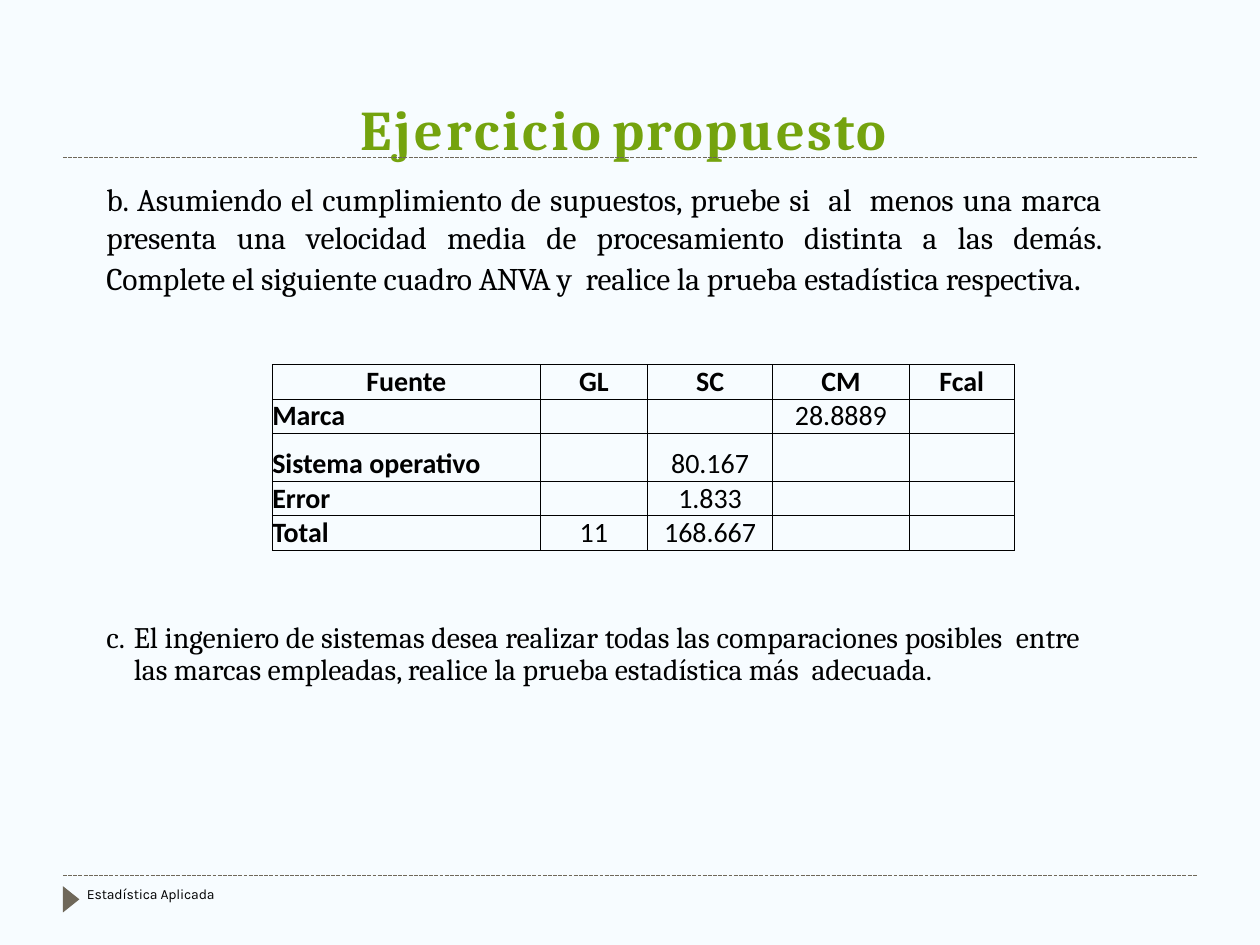
from lxml import etree
from pptx import Presentation
from pptx import util as u
from pptx.dml.color import RGBColor
from pptx.enum import dml, text
from pptx.oxml.ns import qn

Pt = u.Pt
COLORS = {"sky": "F7FCFF", "stone": "6F685A", "green": "74A30E", "black": "000000"}


def rgb(name):
    return RGBColor.from_string(COLORS[name])


def child(parent, tag, **attributes):
    """Append a DrawingML element and return it."""
    node = etree.SubElement(parent, qn(tag))
    for key, value in attributes.items():
        node.set(key, str(value))
    return node


def write(paragraph, *runs, font="Cambria", size=18, color="black", bold=False,
          align=text.PP_ALIGN.LEFT, before=0, line=None, spacing=0,
          indent=(0, 0), number_from=None, tab=None):
    """Fill a paragraph; a run is a string or (string, own format)."""
    paragraph.alignment = align
    paragraph.space_before = Pt(before)
    if line:
        paragraph.line_spacing = Pt(line)
    properties = paragraph._p.get_or_add_pPr()
    properties.set("marL", str(Pt(indent[0])))
    properties.set("indent", str(Pt(indent[1])))
    if number_from:
        child(properties, "a:buFont", typeface=font)
        child(properties, "a:buAutoNum", type="alphaLcPeriod", startAt=number_from)
    if tab:
        child(child(properties, "a:tabLst"), "a:tab", pos=Pt(tab), algn="l")
    for entry in runs:
        words, own = (entry, {}) if isinstance(entry, str) else entry
        run = paragraph.add_run()
        run.text = words
        run.font.name = font
        run.font.size = Pt(own.get("size", size))
        run.font.bold = bold
        run.font.color.rgb = rgb(color)
        run._r.get_or_add_rPr().set("spc", str(round(100 * own.get("spacing", spacing))))


class Page:
    """The current slide and its style."""
    rule_width = 0.75
    border_width = 0.5

    def __init__(self, deck):
        self.slide = deck.slides.add_slide(deck.slide_layouts[1])
        self.shapes = self.slide.shapes
        fill = self.slide.background.fill
        fill.solid()
        fill.fore_color.rgb = rgb("sky")

    def frame(self, shape, top_inset=0.7):
        frame = shape.text_frame
        frame.word_wrap = True
        frame.auto_size = text.MSO_AUTO_SIZE.NONE
        frame.vertical_anchor = text.MSO_ANCHOR.TOP
        frame.margin_left = frame.margin_right = frame.margin_bottom = 0
        frame.margin_top = Pt(top_inset)
        return frame.paragraphs[0]

    def placeholder(self, index, left, top, width, height, *runs, top_inset=0.7, **style):
        shape = self.slide.placeholders[index]
        shape.left, shape.top, shape.width, shape.height = map(Pt, (left, top, width, height))
        write(self.frame(shape, top_inset), *runs, **style)

    def label(self, left, top, width, height, *runs, **style):
        box = self.shapes.add_textbox(*map(Pt, (left, top, width, height)))
        write(self.frame(box), *runs, **style)

    def rule(self, left, right, y):
        line = self.shapes.add_connector(1, Pt(left), Pt(y), Pt(right), Pt(y))
        line.line.color.rgb = rgb("stone")
        line.line.width = Pt(self.rule_width)
        line.line.dash_style = dml.MSO_LINE.SQUARE_DOT
        child(line._element.spPr, "a:effectLst")

    def polygon(self, points, color):
        start, *others = [(Pt(x), Pt(y)) for x, y in points]
        builder = self.shapes.build_freeform(*start)
        builder.add_line_segments(others, close=True)
        shape = builder.convert_to_shape()
        shape.shadow.inherit = False
        shape.fill.solid()
        shape.fill.fore_color.rgb = rgb(color)
        shape.line.fill.background()

    def border(self, cell):
        properties = cell._tc.get_or_add_tcPr()
        for position, side in enumerate(("a:lnL", "a:lnR", "a:lnT", "a:lnB")):
            line = etree.Element(qn(side), w=str(Pt(self.border_width)))
            child(child(line, "a:solidFill"), "a:srgbClr", val=COLORS["black"])
            properties.insert(position, line)

    def table(self, left, top, widths, heights, rows):
        table = self.shapes.add_table(
            len(rows), len(widths), Pt(left), Pt(top),
            Pt(sum(widths)), Pt(sum(heights))).table
        for column, width in zip(table.columns, widths):
            column.width = Pt(width)
        for r, (row, height) in enumerate(zip(rows, heights)):
            table.rows[r].height = Pt(height)
            for c, value in enumerate(row):
                cell = table.cell(r, c)
                cell.fill.background()
                self.border(cell)
                cell.margin_left = cell.margin_right = 0
                cell.margin_top = cell.margin_bottom = 0
                cell.vertical_anchor = text.MSO_ANCHOR.BOTTOM
                paragraph = cell.text_frame.paragraphs[0]
                heading = r == 0 or c == 0
                centred = r == 0 or c > 0
                if value:
                    write(paragraph, value, font="Calibri", size=16, bold=heading,
                          align=text.PP_ALIGN.CENTER if centred else text.PP_ALIGN.LEFT)
                else:
                    child(paragraph._p, "a:endParaRPr", sz=1000)


def main():
    deck = Presentation()
    deck.slide_width, deck.slide_height = Pt(720), Pt(540)
    page = Page(deck)

    # Rules and footer marker
    for y in (500.4, 90):
        page.rule(36, 684, y)
    page.polygon([(36, 506.4), (36, 521.4), (45.4, 513.9)], "stone")

    # Title
    page.placeholder(0, 205.2, 53.2, 324.8, 40.4,
                     "Ejercicio\t", ("propuesto", {"spacing": 1.3}),
                     size=32, color="green", bold=True, spacing=1.8,
                     before=1.1, indent=(0.7, 0), tab=159.2)

    # Exercise b
    page.label(60, 102.3, 569.4, 90.6,
               "b. Asumiendo el cumplimiento de supuestos, pruebe si  al  menos una marca "
               "presenta una velocidad media de procesamiento distinta a las demás. "
               "Complete el siguiente cuadro ",
               ("ANVA ", {"spacing": -0.5}),
               "y  realice la prueba estadística respectiva", (".", {"size": 20}),
               size=18, spacing=-0.05, before=1.1, indent=(0.7, 0),
               align=text.PP_ALIGN.JUSTIFY)

    # ANOVA table
    page.table(155.6, 208.4, [153.2, 61.2, 71.6, 78, 60], [19.5, 19.5, 27.5, 19.5, 19.5], [
        ["Fuente", "GL", "SC", "CM", "Fcal"],
        ["Marca", "", "", "28.8889", ""],
        ["Sistema operativo", "", "80.167", "", ""],
        ["Error", "", "1.833", "", ""],
        ["Total", "11", "168.667", "", ""],
    ])

    # Exercise c
    page.placeholder(1, 60, 352.8, 556.6, 39.6,
                     "El ingeniero de sistemas desea realizar todas las comparaciones "
                     "posibles  entre las marcas empleadas, realice la prueba estadística "
                     "más  adecuada.",
                     top_inset=2.9, size=17, spacing=-0.07, before=5.9, line=18.4,
                     indent=(16.5, -15.8), number_from=3, tab=16.5,
                     align=text.PP_ALIGN.JUSTIFY)

    # Footer
    page.label(49, 505.4, 139.7, 10.1, "Estadística Aplicada",
               font="Karla", size=8, spacing=-0.1, before=0.6, indent=(0.7, 0))

    deck.save("out.pptx")


if __name__ == "__main__":
    main()
